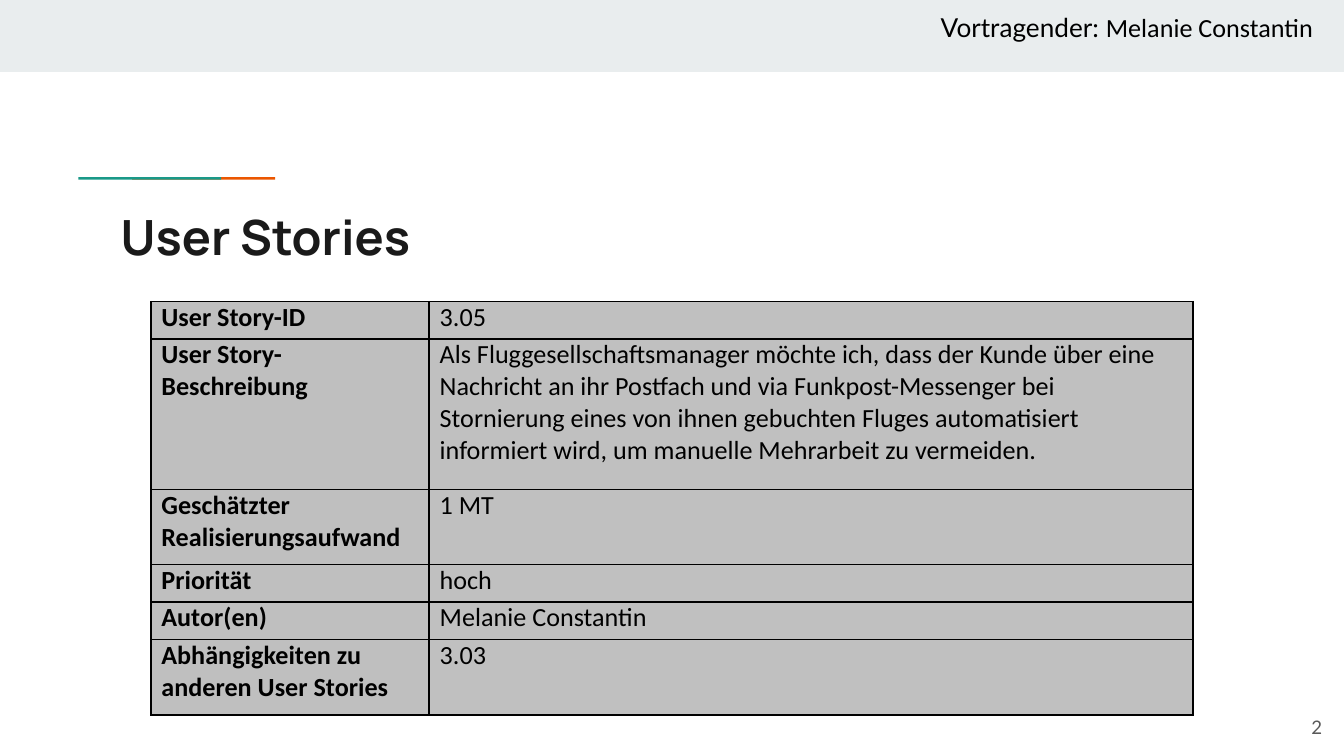
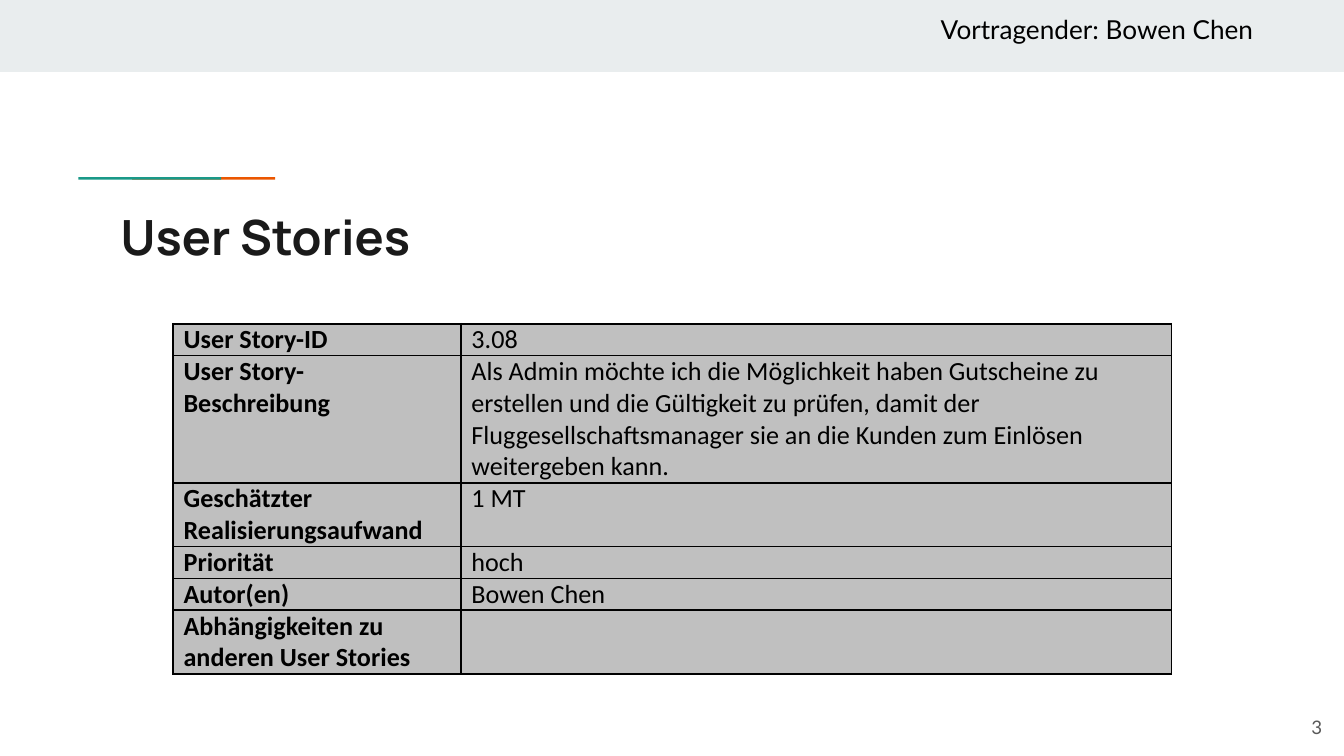
from dataclasses import dataclass

from lxml import etree
from pptx import Presentation
from pptx import util as u
from pptx.dml.color import RGBColor
from pptx.enum import shapes, text
from pptx.oxml.ns import qn


@dataclass(frozen=True)
class Theme:
    band: str = "E9EDEE"
    teal: str = "1A9988"
    orange: str = "EB5600"
    heading: str = "1A1A1A"
    ink: str = "000000"
    muted: str = "595959"
    label_fill: str = "BFBFBF"
    value_fill: str = "C0C0C0"
    title_font: str = "Manrope"
    frame_font: str = "Lato"
    table_font: str = "Calibri"
    title_size: int = 26
    body_size: int = 14
    number_size: int = 10
    border_width: int = 1


THEME = Theme()
SLIDE_WIDTH, SLIDE_HEIGHT = 25.4, 14.29
TITLE_ONLY = 5

FIELDS = (
    "User Story-ID",
    "User Story-Beschreibung",
    "Geschätzter Realisierungsaufwand",
    "Priorität",
    "Autor(en)",
    "Abhängigkeiten zu anderen User Stories",
)
FIELD_LINES = (1, 4, 2, 1, 1, 2)

STORIES = (
    dict(
        speaker="Melanie Constantin",
        speaker_font=THEME.table_font,
        speaker_top=-0.04,
        corner=(2.85, 5.7),
        columns=(5.26, 14.44),
        line_height=0.71,
        values=(
            "3.05",
            "Als Fluggesellschaftsmanager möchte ich, dass der Kunde über eine "
            "Nachricht an ihr Postfach und via Funkpost-Messenger bei Stornierung "
            "eines von ihnen gebuchten Fluges automatisiert informiert wird, um "
            "manuelle Mehrarbeit zu vermeiden.",
            "1 MT",
            "hoch",
            "Melanie Constantin",
            "3.03",
        ),
    ),
    dict(
        speaker="Bowen Chen",
        speaker_font=THEME.frame_font,
        speaker_top=0,
        corner=(3.27, 6.12),
        columns=(5.44, 13.43),
        line_height=0.6,
        values=(
            "3.08",
            "Als Admin möchte ich die Möglichkeit haben Gutscheine zu erstellen "
            "und die Gültigkeit zu prüfen, damit der Fluggesellschaftsmanager sie "
            "an die Kunden zum Einlösen weitergeben kann.",
            "1 MT",
            "hoch",
            "Bowen Chen",
            "",
        ),
    ),
)


def write(frame, content, *, font=THEME.frame_font, size=THEME.body_size,
          color=THEME.ink, bold=False, align=text.PP_ALIGN.LEFT):
    """Append a formatted run to the first paragraph of a text frame."""
    paragraph = frame.paragraphs[0]
    paragraph.alignment = align
    run = paragraph.add_run()
    run.text = content
    run.font.name = font
    run.font.size = u.Pt(size)
    run.font.bold = bold
    run.font.color.rgb = RGBColor.from_string(color)


def set_up_frame(frame, anchor=text.MSO_ANCHOR.TOP):
    frame.word_wrap = True
    frame.auto_size = text.MSO_AUTO_SIZE.NONE
    frame.vertical_anchor = anchor
    frame.margin_left = frame.margin_right = u.Cm(0.25)
    frame.margin_top = frame.margin_bottom = u.Cm(0.25)


def add_bar(slide, left, top, width, height, color, rotation=0):
    bar = slide.shapes.add_shape(
        shapes.MSO_SHAPE.RECTANGLE, *map(u.Cm, (left, top, width, height)))
    bar.rotation = rotation
    bar.shadow.inherit = False
    bar.fill.solid()
    bar.fill.fore_color.rgb = RGBColor.from_string(color)
    bar.line.fill.background()


def add_text_frame(slide, left, top, width, height, **frame_format):
    box = slide.shapes.add_textbox(*map(u.Cm, (left, top, width, height)))
    set_up_frame(box.text_frame, **frame_format)
    return box.text_frame


def add_title(slide, content):
    title = slide.shapes.title
    title.left, title.top = u.Cm(2.03), u.Cm(3.66)
    title.width, title.height = u.Cm(21.36), u.Cm(1.5)
    set_up_frame(title.text_frame)
    write(title.text_frame, content, font=THEME.title_font,
          size=THEME.title_size, color=THEME.heading, bold=True)


def add_decoration(slide):
    """Add the top band and the accent line, whose teal part overlaps the orange."""
    add_bar(slide, 0, 0, SLIDE_WIDTH, 1.36, THEME.band)
    length, thickness, middle = 2.7, 0.05, 3.37
    for center, color in ((3.85, THEME.orange), (2.83, THEME.teal)):
        add_bar(slide, center - thickness / 2, middle - length / 2,
                thickness, length, color, rotation=270)


def add_speaker(slide, name, font, top):
    header = add_text_frame(slide, 17.53, top, 7.87, 1.37)
    write(header, "Vortragender: ")
    write(header, name, font=font)


def add_slide_number(slide, number):
    corner = add_text_frame(slide, 23.72, 13.2, 1.52, 1.09,
                            anchor=text.MSO_ANCHOR.MIDDLE)
    write(corner, str(number), size=THEME.number_size, color=THEME.muted,
          align=text.PP_ALIGN.RIGHT)


def draw_borders(cell):
    properties = cell._tc.get_or_add_tcPr()
    for side in ("a:lnL", "a:lnR", "a:lnT", "a:lnB"):
        border = etree.SubElement(properties, qn(side),
                                  w=str(u.Pt(THEME.border_width)))
        fill = etree.SubElement(border, qn("a:solidFill"))
        etree.SubElement(fill, qn("a:srgbClr"), val=THEME.ink)


def fill_cell(cell, content, fill, bold):
    cell.margin_left = cell.margin_right = u.Cm(0.2)
    cell.margin_top = cell.margin_bottom = 0
    draw_borders(cell)
    cell.fill.solid()
    cell.fill.fore_color.rgb = RGBColor.from_string(fill)
    write(cell.text_frame, content, font=THEME.table_font, bold=bold)


def add_story_table(slide, corner, columns, line_height, values):
    """Add the story card, with rows as tall as their number of lines."""
    size = (sum(columns), sum(FIELD_LINES) * line_height)
    table = slide.shapes.add_table(
        len(FIELDS), len(columns), *map(u.Cm, corner + size)).table
    table.first_row = table.horz_banding = False
    for column, width in zip(table.columns, columns):
        column.width = u.Cm(width)
    for row, lines, field, value in zip(table.rows, FIELD_LINES, FIELDS, values):
        row.height = u.Cm(lines * line_height)
        label_cell, value_cell = row.cells
        fill_cell(label_cell, field, THEME.label_fill, bold=True)
        fill_cell(value_cell, value, THEME.value_fill, bold=False)


def add_story_slide(deck, number, story):
    slide = deck.slides.add_slide(deck.slide_layouts[TITLE_ONLY])
    add_decoration(slide)
    add_title(slide, "User Stories")
    add_story_table(slide, story["corner"], story["columns"],
                    story["line_height"], story["values"])
    add_speaker(slide, story["speaker"], story["speaker_font"],
                story["speaker_top"])
    add_slide_number(slide, number)


def main():
    deck = Presentation()
    deck.slide_width, deck.slide_height = u.Cm(SLIDE_WIDTH), u.Cm(SLIDE_HEIGHT)
    for number, story in enumerate(STORIES, start=2):
        add_story_slide(deck, number, story)
    deck.save("out.pptx")


if __name__ == "__main__":
    main()
